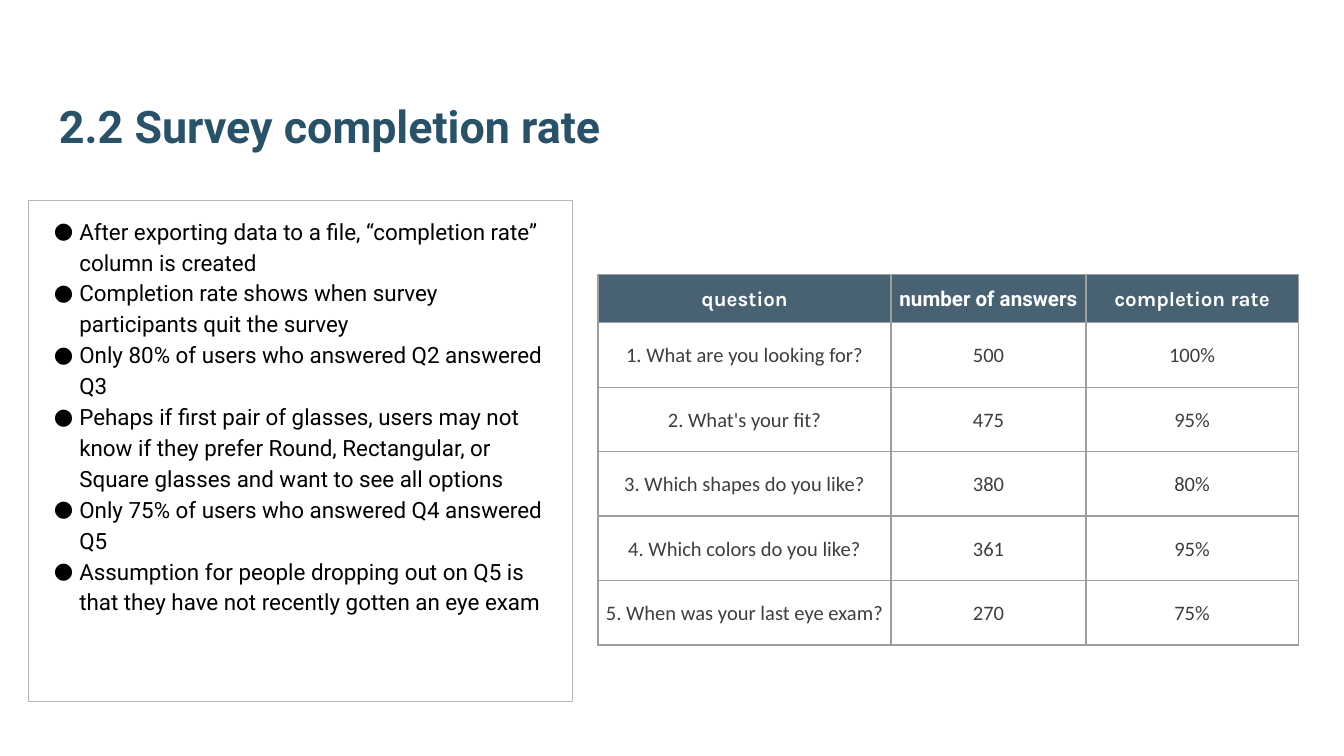
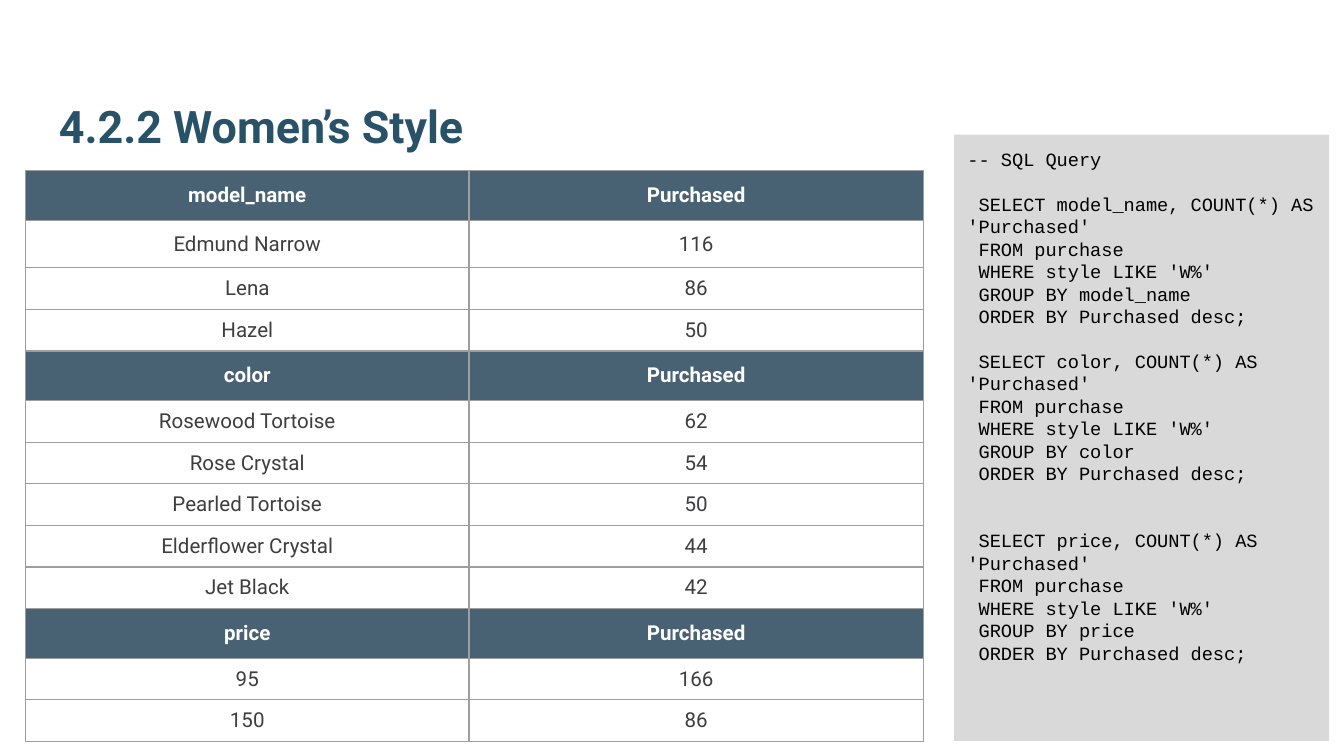
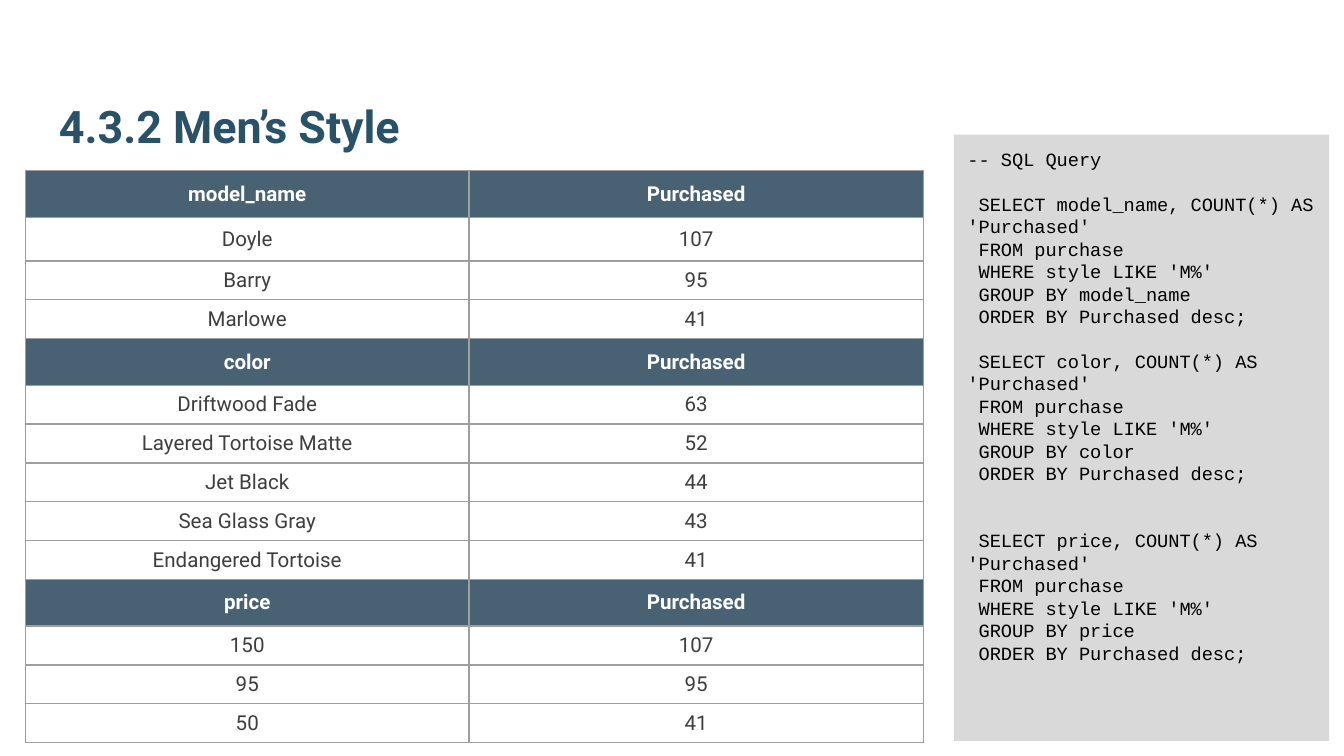
import dataclasses

import pptx
import pptx.dml.color
import pptx.enum.shapes
import pptx.enum.text
import pptx.oxml.ns
import pptx.util
from lxml import etree

Pt, Inches = pptx.util.Pt, pptx.util.Inches
RGB = pptx.dml.color.RGBColor.from_string
ANCHOR, ALIGN = pptx.enum.text.MSO_ANCHOR, pptx.enum.text.PP_ALIGN
RECT = pptx.enum.shapes.MSO_SHAPE.RECTANGLE
qn = pptx.oxml.ns.qn


@dataclasses.dataclass(frozen=True)
class Theme:
    title: str = "295269"
    header: str = "204056"
    header_alpha: int = 82
    cell: str = "3E3E40"
    ink: str = "000000"
    white: str = "FFFFFF"
    border: str = "9E9E9E"
    frame: str = "B7B7B7"
    panel: str = "D9D9D9"
    font: str = "Roboto"
    code_font: str = "Courier New"
    title_size: int = 24
    body_size: int = 12
    table_size: int = 11
    code_size: int = 10
    line: float = 0.75


T = Theme()

prs = pptx.Presentation()
prs.slide_width, prs.slide_height = Inches(10), Inches(5.625)
# Grid units: one percent of the slide's width and height
X, Y = prs.slide_width / 100, prs.slide_height / 100


def add_run(p, text, font, size, color, bold=False):
    r = p.add_run()
    r.text = text
    r.font.name, r.font.size, r.font.bold = font, Pt(size), bold
    r.font.color.rgb = RGB(color)


def add_grid(slide, left, top, cols, heights, rows, headers, insets, fonts):
    """Insets and fonts are given as (header, body)."""
    gf = slide.shapes.add_table(len(rows), len(cols), int(left * X), int(top * Y),
                                int(sum(cols) * X), int(sum(heights) * Y))
    tbl = gf.table
    tbl.first_row = tbl.horz_banding = False
    for col, w in zip(tbl.columns, cols):
        col.width = int(w * X)
    for i, values in enumerate(rows):
        tbl.rows[i].height = int(heights[i] * Y)
        is_header = i in headers
        inset = insets[0 if is_header else 1]
        for j, value in enumerate(values):
            cell = tbl.cell(i, j)
            cell.vertical_anchor = ANCHOR.MIDDLE
            (cell.margin_left, cell.margin_top,
             cell.margin_right, cell.margin_bottom) = map(Inches, inset)
            tcPr = cell._tc.get_or_add_tcPr()
            for side in ("a:lnL", "a:lnR", "a:lnT", "a:lnB"):
                ln = etree.SubElement(tcPr, qn(side), w=str(Pt(T.line)))
                fill = etree.SubElement(ln, qn("a:solidFill"))
                etree.SubElement(fill, qn("a:srgbClr"), val=T.border)
            if is_header:
                cell.fill.solid()
                cell.fill.fore_color.rgb = RGB(T.header)
                clr = tcPr.find(qn("a:solidFill")).find(qn("a:srgbClr"))
                etree.SubElement(clr, qn("a:alpha"), val=str(T.header_alpha * 1000))
            else:
                cell.fill.background()
            p = cell.text_frame.paragraphs[0]
            p.alignment = ALIGN.CENTER
            font = fonts[0][j] if is_header else fonts[1]
            add_run(p, value, font, T.table_size,
                    T.white if is_header else T.cell, is_header)


# Slides with their titles
slides = []
for title in ("2.2 Survey completion rate", "4.2.2 Women’s Style", "4.3.2 Men’s Style"):
    slide = prs.slides.add_slide(prs.slide_layouts[6])
    slide.background.fill.solid()
    slide.background.fill.fore_color.rgb = RGB(T.white)
    sp = slide.shapes.add_textbox(int(3.4 * X), int(5.7 * Y), int(93.2 * X), int(16.3 * Y))
    tf = sp.text_frame
    tf.word_wrap, tf.vertical_anchor = True, ANCHOR.BOTTOM
    tf.margin_left = tf.margin_right = tf.margin_top = tf.margin_bottom = Inches(0.1)
    add_run(tf.paragraphs[0], title, T.font, T.title_size, T.title, True)
    slides.append(slide)
survey, women, men = slides

# Survey: framed findings
findings = [
    "After exporting data to a file, “completion rate” column is created",
    "Completion rate shows when survey participants quit the survey",
    "Only 80% of users who answered Q2 answered Q3",
    "Pehaps if first pair of glasses, users may not know if they prefer Round, "
    "Rectangular, or Square glasses and want to see all options",
    "Only 75% of users who answered Q4 answered Q5",
    "Assumption for people dropping out on Q5 is that they have not recently "
    "gotten an eye exam",
]
sp = survey.shapes.add_shape(RECT, int(2.1 * X), int(26.5 * Y), int(40.5 * X), int(66.3 * Y))
sp.shadow.inherit = False
sp.fill.background()
sp.line.color.rgb, sp.line.width = RGB(T.frame), Pt(T.line)
tf = sp.text_frame
tf.word_wrap, tf.vertical_anchor = True, ANCHOR.TOP
tf.margin_left = Inches(0.19)
tf.margin_right = tf.margin_top = tf.margin_bottom = Inches(0.1)
for i, finding in enumerate(findings):
    p = tf.add_paragraph() if i else tf.paragraphs[0]
    pPr = p._p.get_or_add_pPr()
    pPr.set("marL", str(Inches(0.19)))
    pPr.set("indent", str(-Inches(0.19)))
    clr = etree.SubElement(pPr, qn("a:buClr"))
    etree.SubElement(clr, qn("a:srgbClr"), val=T.ink)
    etree.SubElement(pPr, qn("a:buFont"), typeface=T.font)
    etree.SubElement(pPr, qn("a:buChar"), char="●")
    p.alignment, p.line_spacing = ALIGN.LEFT, 1.15
    add_run(p, finding, T.font, T.body_size, T.ink)

# Survey: completion table
answers = [
    ("question", "number of answers", "completion rate"),
    ("1. What are you looking for?", "500", "100%"),
    ("2. What's your fit?", "475", "95%"),
    ("3. Which shapes do you like?", "380", "80%"),
    ("4. Which colors do you like?", "361", "95%"),
    ("5. When was your last eye exam?", "270", "75%"),
]
tight = (0.01, 0.01, 0.01, 0)
add_grid(survey, 44.5, 36.3, (21.8, 14.5, 15.8), [6.4] + [8.53] * 5, answers, {0},
         (tight, tight), (("Karla", T.font, "Karla"), "Calibri"))

# Style slides: query panel and purchase table
# Each: slide, style letter, (header, first, other) row heights, purchases by field
styles = [
    (women, "W", (6.6, 6.25, 5.5), {
        "model_name": [("Edmund Narrow", 116), ("Lena", 86), ("Hazel", 50)],
        "color": [("Rosewood Tortoise", 62), ("Rose Crystal", 54), ("Pearled Tortoise", 50),
                  ("Elderflower Crystal", 44), ("Jet Black", 42)],
        "price": [("95", 166), ("150", 86)],
    }),
    (men, "M", (6.18, 5.74, 5.14), {
        "model_name": [("Doyle", 107), ("Barry", 95), ("Marlowe", 41)],
        "color": [("Driftwood Fade", 63), ("Layered Tortoise Matte", 52), ("Jet Black", 44),
                  ("Sea Glass Gray", 43), ("Endangered Tortoise", 41)],
        "price": [("150", 107), ("95", 95), ("50", 41)],
    }),
]
query_gaps = {"model_name": 12, "color": 12, "price": 24}

for slide, letter, (head_h, first_h, row_h), groups in styles:
    # Query panel
    sp = slide.shapes.add_shape(RECT, int(71 * X), int(17.8 * Y), int(27.9 * X), int(80.2 * Y))
    sp.shadow.inherit = False
    sp.fill.solid()
    sp.fill.fore_color.rgb = RGB(T.panel)
    sp.line.fill.background()
    tf = sp.text_frame
    tf.word_wrap, tf.vertical_anchor = True, ANCHOR.TOP
    tf.margin_left = tf.margin_right = tf.margin_top = tf.margin_bottom = Inches(0.1)
    p = tf.paragraphs[0]
    p.alignment = ALIGN.LEFT
    add_run(p, "-- SQL Query", T.code_font, T.code_size, T.ink)
    for field, gap in query_gaps.items():
        query = (f" SELECT {field}, COUNT(*) AS 'Purchased'", " FROM purchase",
                 f" WHERE style LIKE '{letter}%'", f" GROUP BY {field}",
                 " ORDER BY Purchased desc;")
        for i, code in enumerate(query):
            p = tf.add_paragraph()
            p.alignment = ALIGN.LEFT
            p.space_before = Pt(0 if i else gap)
            add_run(p, code, T.code_font, T.code_size, T.ink)

    # Purchase table
    rows, heights, headers = [], [], set()
    for field, purchases in groups.items():
        headers.add(len(rows))
        rows += [(field, "Purchased")] + [(name, str(n)) for name, n in purchases]
        heights += [head_h] + [row_h] * len(purchases)
    heights[1] = first_h
    add_grid(slide, 1.9, 22.6, (33, 33.8), heights, rows, headers,
             ((0.08,) * 4, (0.1, 0.05, 0.1, 0.05)), ((T.font, T.font), T.font))

prs.save("out.pptx")
